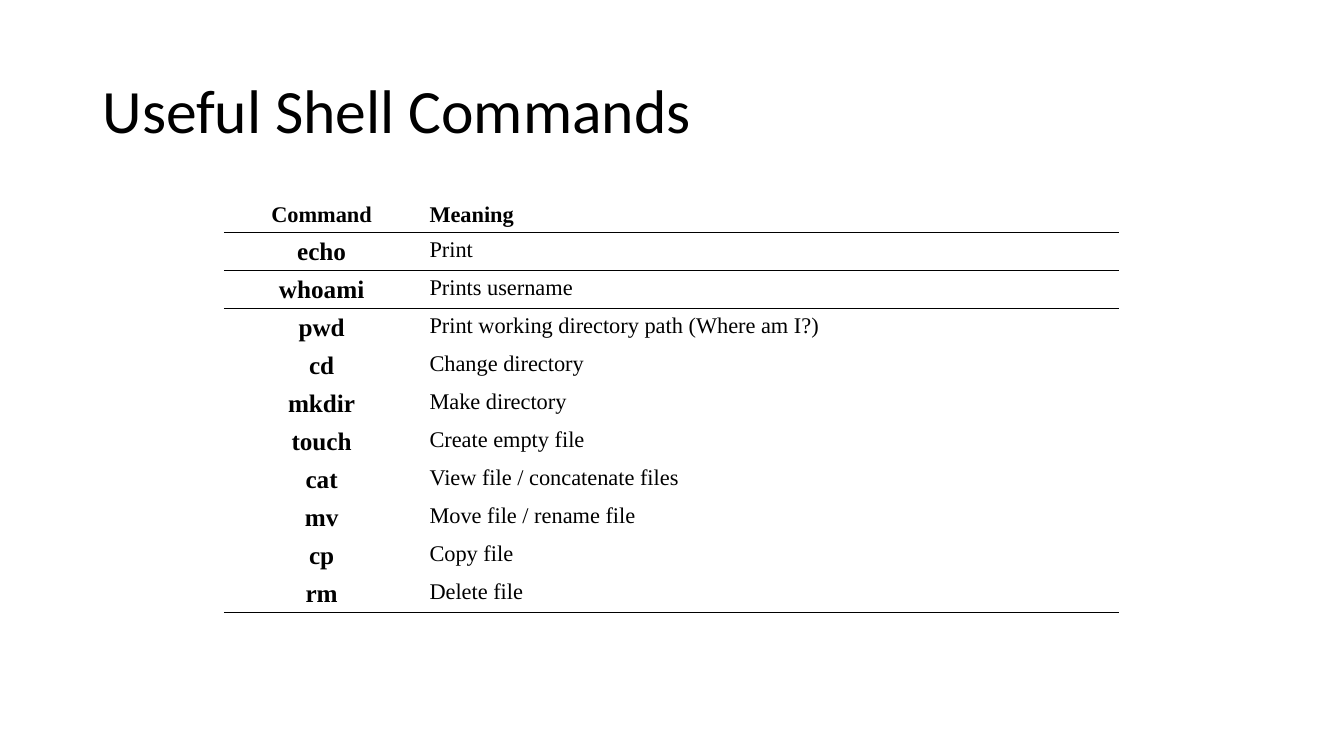
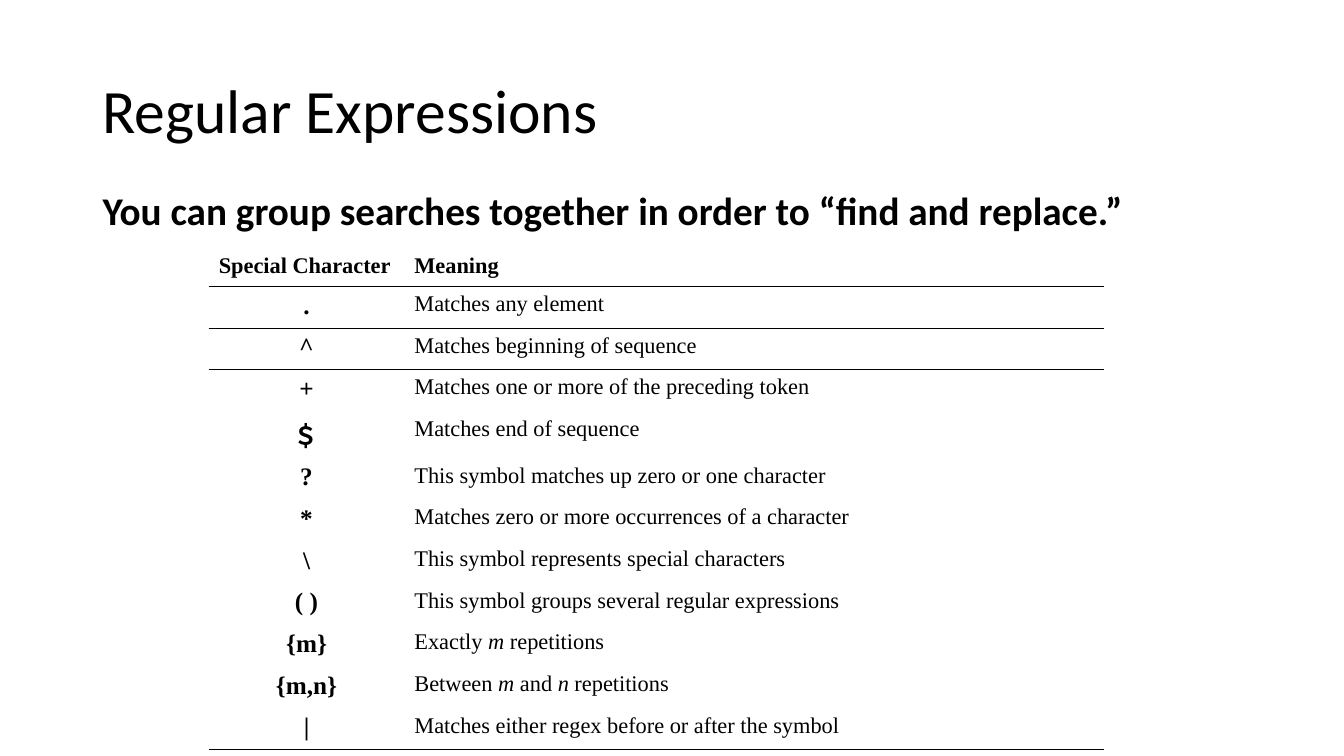
from lxml.etree import SubElement
from pptx import Presentation
from pptx.dml.color import RGBColor as Rgb
from pptx.enum.text import MSO_ANCHOR as Anchor, MSO_AUTO_SIZE as AutoSize, PP_ALIGN as Align
from pptx.oxml import parse_xml
from pptx.oxml.ns import nsdecls, qn
from pptx.util import Cm, Pt

COLORS = {"ink": "000000"}
FONTS = {"heading": "Calibri", "table": "Times New Roman"}
PLAIN_TABLE_STYLE = "{2D5ABB26-0587-4C30-8999-92F81FD0307C}"
TITLE_AND_CONTENT, TITLE_ONLY = 1, 5
TITLE_BOX = (Cm(2.33), Cm(1.01), Cm(29.21), Cm(3.68))
BODY_BOX = (Cm(2.33), Cm(4.7), Cm(29.21), Cm(12.09))
COLUMN_WIDTHS = (Cm(4.93), Cm(17.63))

COMMANDS = [
    ("Command", "Meaning"),
    ("echo", "Print"),
    ("whoami", "Prints username"),
    ("pwd", "Print working directory path (Where am I?)"),
    ("cd", "Change directory"),
    ("mkdir", "Make directory"),
    ("touch", "Create empty file"),
    ("cat", "View file / concatenate files"),
    ("mv", "Move file / rename file"),
    ("cp", "Copy file"),
    ("rm", "Delete file"),
]
PATTERNS = [
    ("Special Character", "Meaning"),
    (".", "Matches any element"),
    ("^", "Matches beginning of sequence"),
    ("+", "Matches one or more of the preceding token"),
    ("＄", "Matches end of sequence"),
    ("?", "This symbol matches up zero or one character"),
    ("*", "Matches zero or more occurrences of a character"),
    ("\\", "This symbol represents special characters"),
    ("( )", "This symbol groups several regular expressions"),
    ("{m}", "Exactly _m_ repetitions"),
    ("{m,n}", "Between _m_ and _n_ repetitions"),
    ("|", "Matches either regex before or after the symbol"),
]


def style_span(span, font, size, bold=False, italic=False):
    """Give a run its font, size, weight and colour."""
    span.font.name = font
    span.font.size = Pt(size)
    span.font.bold = bold
    span.font.italic = italic
    span.font.color.rgb = Rgb.from_string(COLORS["ink"])


def fill_placeholder(shape, box, text, size, anchor, bold=False):
    """Place a heading placeholder in its box and set its one line."""
    shape.left, shape.top, shape.width, shape.height = box
    frame = shape.text_frame
    frame.text = text
    frame.word_wrap = True
    frame.auto_size = AutoSize.NONE
    frame.vertical_anchor = anchor
    para = frame.paragraphs[0]
    para.alignment = Align.LEFT
    para.line_spacing = 0.9
    para.space_before = Pt(0)
    style_span(para.runs[0], FONTS["heading"], size, bold)
    return para


def add_page(deck, title, layout):
    """Add a slide with the shared title style."""
    page = deck.slides.add_slide(deck.slide_layouts[layout])
    fill_placeholder(page.shapes.title, TITLE_BOX, title, 44, Anchor.MIDDLE)
    return page


def add_statement(page, text):
    """Write a bold line without a bullet in the body placeholder."""
    para = fill_placeholder(page.placeholders[1], BODY_BOX, text, 28, Anchor.TOP, True)
    properties = para._p.get_or_add_pPr()
    properties.set("marL", "0")
    properties.set("indent", "0")
    SubElement(properties, qn("a:buNone"))


def add_rule(cell, side):
    """Draw a thin line on the top (lnT) or bottom (lnB) of a cell."""
    line = parse_xml(
        f'<a:{side} {nsdecls("a")} w="12700"><a:solidFill>'
        f'<a:srgbClr val="{COLORS["ink"]}"/></a:solidFill></a:{side}>'
    )
    cell._tc.get_or_add_tcPr().insert(0, line)


def fill_cell(cell, text, size, bold, alignment):
    """Write cell text, with parts between underscores in italics."""
    cell.fill.background()
    para = cell.text_frame.paragraphs[0]
    para.alignment = alignment
    for index, part in enumerate(text.split("_")):
        span = para.add_run()
        span.text = part
        style_span(span, FONTS["table"], size, bold, italic=index % 2 == 1)


def add_glossary(page, left, top, entries, header_height, row_height, header_align=Align.CENTER):
    """Add a two-column table ruled below its first two rows and its last."""
    last = len(entries) - 1
    height = header_height + last * row_height
    table = page.shapes.add_table(len(entries), 2, left, top, sum(COLUMN_WIDTHS), height).table
    table.horz_banding = False
    table._tbl.tblPr.find(qn("a:tableStyleId")).text = PLAIN_TABLE_STYLE
    for column, width in zip(table.columns, COLUMN_WIDTHS):
        column.width = width
    for index, (term, meaning) in enumerate(entries):
        header = index == 0
        table.rows[index].height = header_height if header else row_height
        term_cell, meaning_cell = table.rows[index].cells
        term_align = header_align if header else Align.CENTER
        fill_cell(term_cell, term, 16 if header else 18, True, term_align)
        fill_cell(meaning_cell, meaning, 16, header, Align.LEFT)
        for cell in (term_cell, meaning_cell):
            if index in (0, 1, last):
                add_rule(cell, "lnB")
            if index in (1, 2):
                add_rule(cell, "lnT")


def build_commands(deck):
    """Build the slide of shell commands."""
    page = add_page(deck, "Useful Shell Commands", TITLE_ONLY)
    add_glossary(page, Cm(5.64), Cm(4.98), COMMANDS, Cm(0.88), Cm(0.95))


def build_patterns(deck):
    """Build the slide of regular expression symbols."""
    page = add_page(deck, "Regular Expressions", TITLE_AND_CONTENT)
    add_statement(page, "You can group searches together in order to “find and replace.”")
    add_glossary(page, Cm(5.26), Cm(6.25), PATTERNS, Cm(0.97), Cm(1.05), Align.LEFT)


def main():
    """Build and save the deck."""
    deck = Presentation()
    deck.slide_width, deck.slide_height = Cm(33.87), Cm(19.05)
    build_commands(deck)
    build_patterns(deck)
    deck.save("out.pptx")


if __name__ == "__main__":
    main()
